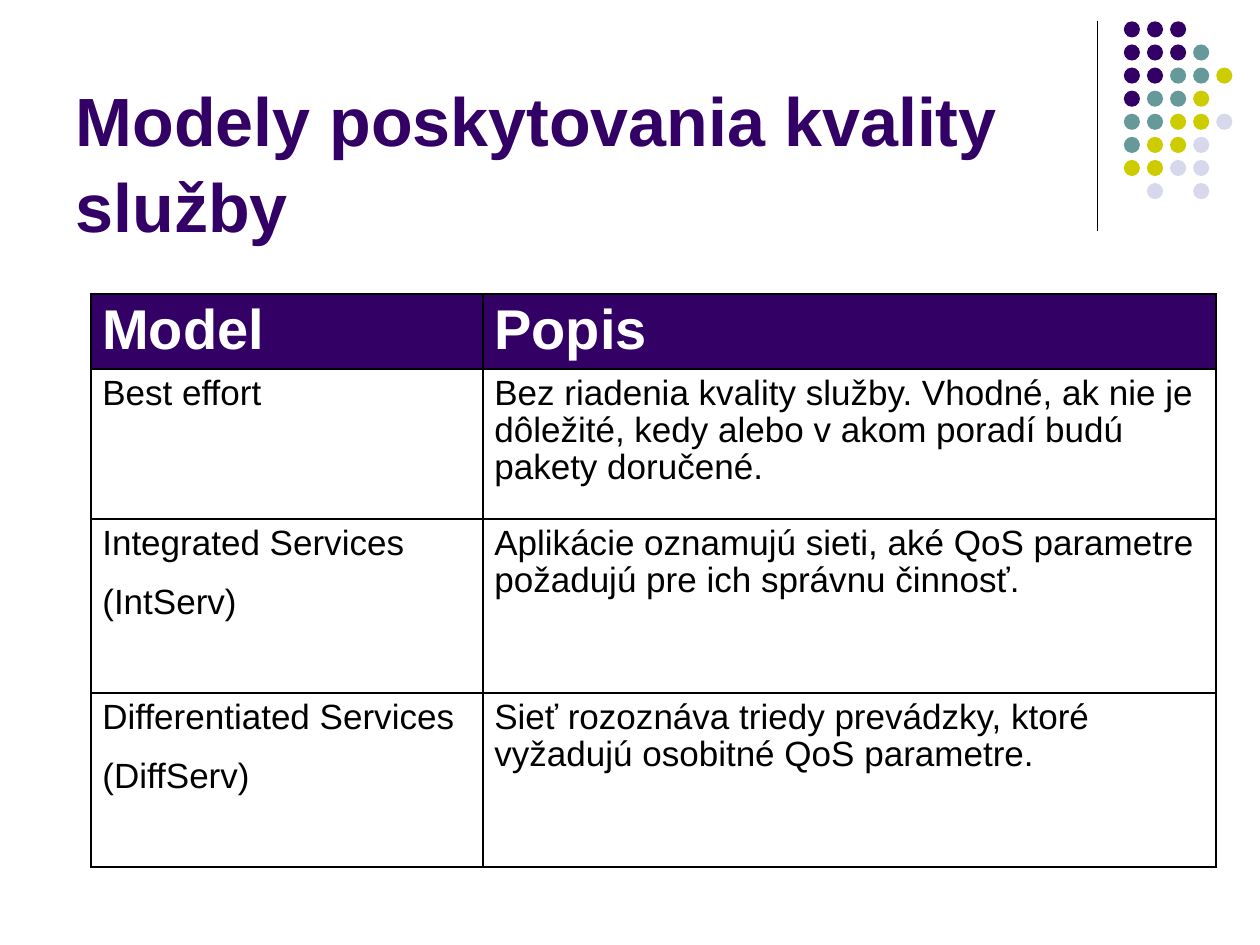
import pptx
import pptx.util
import pptx.dml.color
import pptx.enum.shapes
import pptx.enum.text
import pptx.oxml
import pptx.oxml.ns

Pt = pptx.util.Pt
RGB = pptx.dml.color.RGBColor
ANCHOR = pptx.enum.text.MSO_ANCHOR
SHAPE = pptx.enum.shapes.MSO_SHAPE
LINK = pptx.enum.shapes.MSO_CONNECTOR

PURPLE = RGB(0x33, 0x00, 0x66)
TEAL = RGB(0x66, 0x99, 0x99)
LIME = RGB(0xCC, 0xCC, 0x00)
PALE = RGB(0xD8, 0xD8, 0xEC)
BLACK = RGB(0, 0, 0)
WHITE = RGB(0xFF, 0xFF, 0xFF)

INKS = {"P": PURPLE, "T": TEAL, "L": LIME, "G": PALE}
DOTS = ["PPP", "PPPT", "PPTTL", "PTTL", "TTLLG", "TLLG", "LLGG", " G G"]
ROWS = [
    ("Model", "Popis"),
    ("Best effort",
     "Bez riadenia kvality služby. Vhodné, ak nie je dôležité, "
     "kedy alebo v akom poradí budú pakety doručené."),
    ("Integrated Services\n(IntServ)",
     "Aplikácie oznamujú sieti, aké QoS parametre požadujú "
     "pre ich správnu činnosť."),
    ("Differentiated Services\n(DiffServ)",
     "Sieť rozoznáva triedy prevádzky, ktoré vyžadujú "
     "osobitné QoS parametre."),
]


def write(frame, text, size, color, bold=False, lead=0.95, gap=0):
    frame.text = text
    for i, para in enumerate(frame.paragraphs):
        para.alignment = pptx.enum.text.PP_ALIGN.LEFT
        para.line_spacing = lead
        para.space_before = Pt(gap if i else 0)
        for run in para.runs:
            font = run.font
            font.name, font.size, font.bold = "Arial", Pt(size), bold
            font.color.rgb = color


def add_rule(slide, x, y, height):
    rule = slide.shapes.add_connector(
        LINK.STRAIGHT, Pt(x), Pt(y), Pt(x), Pt(y + height))
    rule.line.color.rgb = BLACK
    rule.line.width = Pt(0.75)
    props = rule._element.spPr
    props.append(pptx.oxml.parse_xml(
        "<a:effectLst %s/>" % pptx.oxml.ns.nsdecls("a")))


def add_dots(slide, x, y, step, size):
    group = slide.shapes.add_group_shape()
    for r, line in enumerate(DOTS):
        for c, key in enumerate(line):
            if key not in INKS:
                continue
            dot = group.shapes.add_shape(
                SHAPE.OVAL, Pt(x + c * step), Pt(y + r * step),
                Pt(size), Pt(size))
            dot.shadow.inherit = False
            dot.fill.solid()
            dot.fill.fore_color.rgb = INKS[key]
            dot.line.fill.background()


def add_title(slide, x, y, width, height):
    title = slide.shapes.title
    title.left, title.top = Pt(x), Pt(y)
    title.width, title.height = Pt(width), Pt(height)
    frame = title.text_frame
    frame.word_wrap = True
    frame.auto_size = pptx.enum.text.MSO_AUTO_SIZE.NONE
    frame.vertical_anchor = ANCHOR.BOTTOM
    write(frame, "Modely poskytovania kvality služby",
          size=39, color=PURPLE, bold=True, lead=1.05)


def add_edges(cell):
    props = cell._tc.get_or_add_tcPr()
    for i, side in enumerate(("lnL", "lnR", "lnT", "lnB")):
        props.insert(i, pptx.oxml.parse_xml(
            '<a:%s %s w="%d"><a:solidFill><a:srgbClr val="%s"/>'
            "</a:solidFill></a:%s>"
            % (side, pptx.oxml.ns.nsdecls("a"), Pt(1.08), BLACK, side)))


def add_grid(slide, x, y, widths, heights):
    grid = slide.shapes.add_table(
        len(heights), len(widths), Pt(x), Pt(y),
        Pt(sum(widths)), Pt(sum(heights))).table
    for col, width in zip(grid.columns, widths):
        col.width = Pt(width)
    for row, height in zip(grid.rows, heights):
        row.height = Pt(height)
    for r, texts in enumerate(ROWS):
        head = r == 0
        for c, text in enumerate(texts):
            cell = grid.cell(r, c)
            cell.margin_left = cell.margin_right = Pt(6.5)
            cell.margin_top = cell.margin_bottom = Pt(3.6)
            cell.vertical_anchor = ANCHOR.MIDDLE if head else ANCHOR.TOP
            cell.fill.solid()
            cell.fill.fore_color.rgb = PURPLE if head else WHITE
            add_edges(cell)
            write(cell.text_frame, text, size=32 if head else 20,
                  color=WHITE if head else BLACK, bold=head, gap=12.5)


def main():
    deck = pptx.Presentation()
    deck.slide_width, deck.slide_height = Pt(720), Pt(540)
    slide = deck.slides.add_slide(deck.slide_layouts[5])
    add_rule(slide, 627, 12, 120)
    add_dots(slide, 642.2, 12.2, step=13.2, size=9.2)
    add_title(slide, 36, 36, 648, 108)
    add_grid(slide, 52, 168, [224, 419], [43, 85.7, 99.4, 99.4])
    deck.save("out.pptx")


if __name__ == "__main__":
    main()
